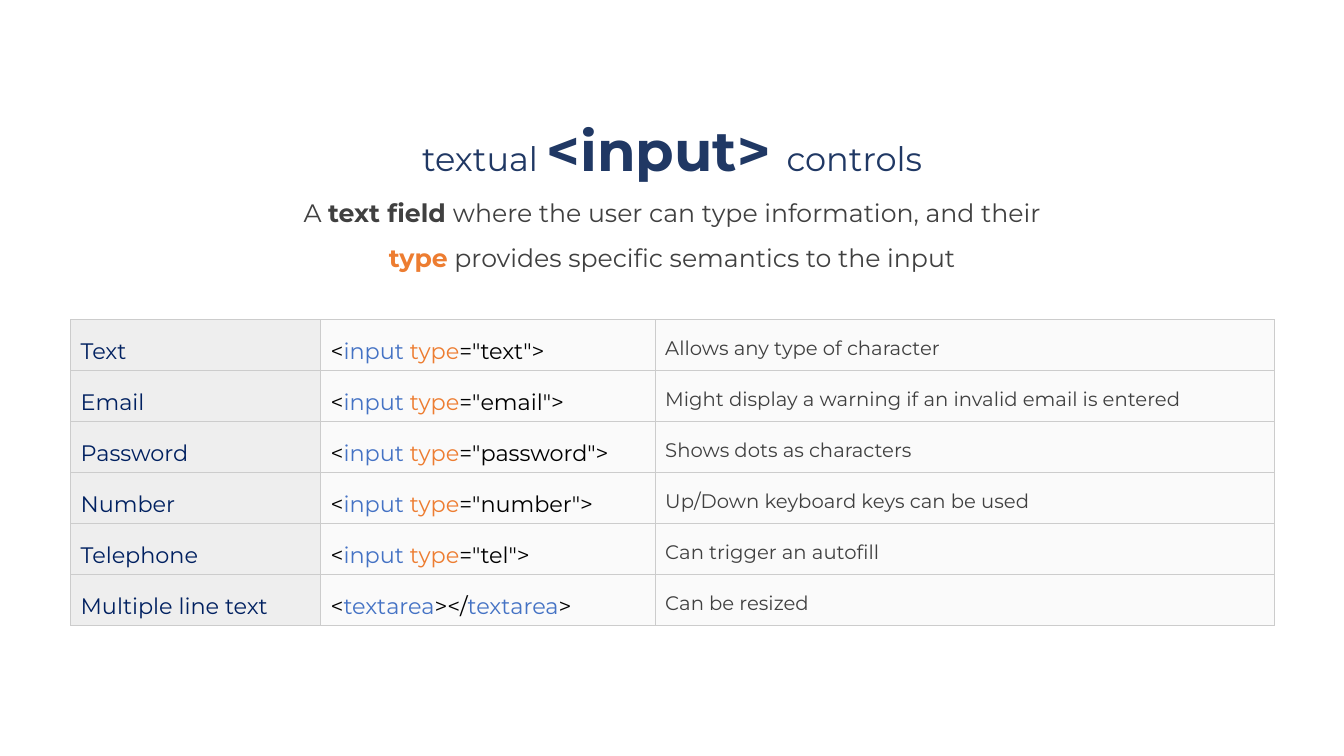
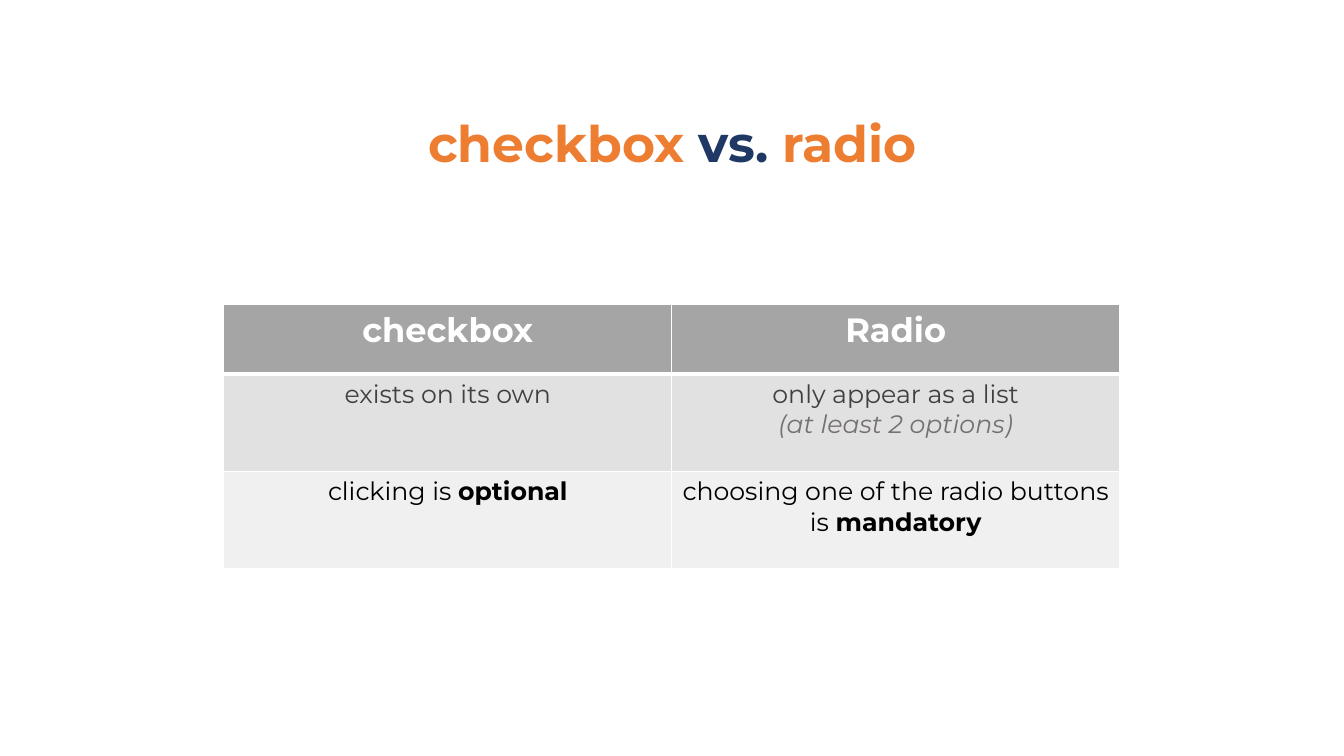
import dataclasses
import typing

import lxml.etree
import pptx
import pptx.dml.color
import pptx.enum.text
import pptx.oxml.ns
import pptx.util

Cm = pptx.util.Cm
Pt = pptx.util.Pt
Align = pptx.enum.text.PP_ALIGN

FACE = "Montserrat"
NAVY, DEEP, BLUE, AMBER = "203864", "002060", "4472C4", "ED7D31"
BLACK, DARK, DIM, WHITE = "000000", "404040", "767171", "FFFFFF"
SIDES = ("lnL", "lnR", "lnT", "lnB")


@dataclasses.dataclass(frozen=True)
class Run:
    text: str
    color: str | None = None
    bold: bool | None = None
    italic: bool | None = None
    size: float | None = None


@dataclasses.dataclass(frozen=True)
class Line:
    runs: tuple[Run, ...]
    size: float
    color: str
    bold: bool = False
    align: Align = Align.CENTER
    space: float = 1.0


@dataclasses.dataclass(frozen=True)
class Edge:
    color: str
    widths: tuple[float, float, float, float]


@dataclasses.dataclass(frozen=True)
class Cell:
    lines: tuple[Line, ...]
    fill: str
    edge: Edge


@dataclasses.dataclass(frozen=True)
class Box:
    left: float
    top: float
    width: float
    height: float


def tint(code: str) -> pptx.dml.color.RGBColor:
    return pptx.dml.color.RGBColor.from_string(code)


def style(font: typing.Any, item: Run | Line) -> None:
    if item.size is not None:
        font.size = Pt(item.size)
    if item.color is not None:
        font.color.rgb = tint(item.color)
    if item.bold is not None:
        font.bold = item.bold


def write(frame: typing.Any, lines: tuple[Line, ...]) -> None:
    frame.word_wrap = True
    for index, line in enumerate(lines):
        para = frame.add_paragraph() if index else frame.paragraphs[0]
        para.alignment = line.align
        para.line_spacing = line.space
        para.font.name = FACE
        style(para.font, line)
        for item in line.runs:
            run = para.add_run()
            run.text = item.text
            style(run.font, item)
            if item.italic is not None:
                run.font.italic = item.italic


def title(slide: typing.Any, box: Box, lines: tuple[Line, ...]) -> None:
    shape = slide.shapes.add_textbox(
        Cm(box.left), Cm(box.top), Cm(box.width), Cm(box.height))
    write(shape.text_frame, lines)
    shape.text_frame.auto_size = pptx.enum.text.MSO_AUTO_SIZE.SHAPE_TO_FIT_TEXT


def rule(cell: typing.Any, edge: Edge) -> None:
    qn = pptx.oxml.ns.qn
    props = cell._tc.get_or_add_tcPr()
    for index, (side, width) in enumerate(zip(SIDES, edge.widths)):
        line = lxml.etree.Element(qn("a:" + side), w=str(int(Pt(width))))
        fill = lxml.etree.SubElement(line, qn("a:solidFill"))
        lxml.etree.SubElement(fill, qn("a:srgbClr"), val=edge.color)
        props.insert(index, line)


def table(slide: typing.Any, left: float, top: float, cols: list[float],
          rows: list[float], cells: list[list[Cell]]) -> None:
    grid = slide.shapes.add_table(
        len(rows), len(cols), Cm(left), Cm(top),
        Cm(sum(cols)), Cm(sum(rows))).table
    grid.first_row = False
    grid.horz_banding = False
    for col, width in zip(grid.columns, cols):
        col.width = Cm(width)
    for row, height, items in zip(grid.rows, rows, cells):
        row.height = Cm(height)
        for cell, item in zip(row.cells, items):
            write(cell.text_frame, item.lines)
            cell.fill.solid()
            cell.fill.fore_color.rgb = tint(item.fill)
            rule(cell, item.edge)


def field(kind: str) -> tuple[Run, ...]:
    return (Run("<"), Run("input ", BLUE), Run("type", AMBER),
            Run(f'="{kind}">'))


AREA = (Run("<"), Run("textarea", BLUE), Run("></"),
        Run("textarea", BLUE), Run(">"))
INPUTS = [
    ("Text", field("text"), "Allows any type of character"),
    ("Email", field("email"),
     "Might display a warning if an invalid email is entered"),
    ("Password", field("password"), "Shows dots as characters"),
    ("Number", field("number"), "Up/Down keyboard keys can be used"),
    ("Telephone", field("tel"), "Can trigger an autofill"),
    ("Multiple line text", AREA, "Can be resized"),
]
THIN = Edge("CCCCCC", (0.75, 0.75, 0.75, 0.75))
HEAD = Edge(WHITE, (1, 1, 1, 3))
NEXT = Edge(WHITE, (1, 1, 3, 1))
BODY = Edge(WHITE, (1, 1, 1, 1))


def entry(runs: tuple[Run, ...], size: float, color: str, fill: str) -> Cell:
    line = Line(runs, size, color, align=Align.LEFT, space=1.5)
    return Cell((line,), fill, THIN)


def header(text: str) -> Cell:
    return Cell((Line((Run(text),), 24, WHITE, True),), "A5A5A5", HEAD)


def trait(*runs: Run) -> Cell:
    return Cell((Line(runs, 18, BLACK),), "F0F0F0", BODY)


def kind(*runs: Run) -> Cell:
    lines = tuple(Line((run,), 18, DARK) for run in runs)
    return Cell(lines, "E1E1E1", NEXT)


deck = pptx.Presentation()
deck.slide_width = Cm(33.87)
deck.slide_height = Cm(19.05)
blank = deck.slide_layouts[6]

slide = deck.slides.add_slide(blank)
table(slide, 1.78, 8.05, [6.3, 8.43, 15.6], [1.27] * len(INPUTS), [
    [entry((Run(name),), 16, DEEP, "EEEEEE"),
     entry(code, 16, BLACK, "FAFAFA"),
     entry((Run(note),), 14, DARK, "FAFAFA")]
    for name, code, note in INPUTS])
title(slide, Box(6.68, 1.93, 20.52, 6.05), (
    Line((Run("textual "), Run("<input> ", bold=True, size=40),
          Run("controls")), 24, NAVY, space=1.5),
    Line((Run("A "), Run("text field ", bold=True),
          Run("where the user can type information, and their "),
          Run("type", AMBER, True),
          Run(" provides specific semantics to the input")),
         18, DARK, space=1.5)))

slide = deck.slides.add_slide(blank)
title(slide, Box(3.38, 1.93, 27.13, 3.33), (
    Line((Run("checkbox"), Run(" vs. ", NAVY), Run("radio")),
         36, AMBER, True, space=1.5),))
table(slide, 5.64, 7.67, [11.29] * 2, [1.75, 2.46, 2.46], [
    [header("checkbox"), header("Radio")],
    [kind(Run("exists on its own")),
     kind(Run("only appear as a list"),
          Run("(at least 2 options)", DIM, italic=True))],
    [trait(Run("clicking is\u00a0"), Run("optional", bold=True)),
     trait(Run("choosing one of the radio buttons is\u00a0"),
           Run("mandatory", bold=True))]])

deck.save("out.pptx")
